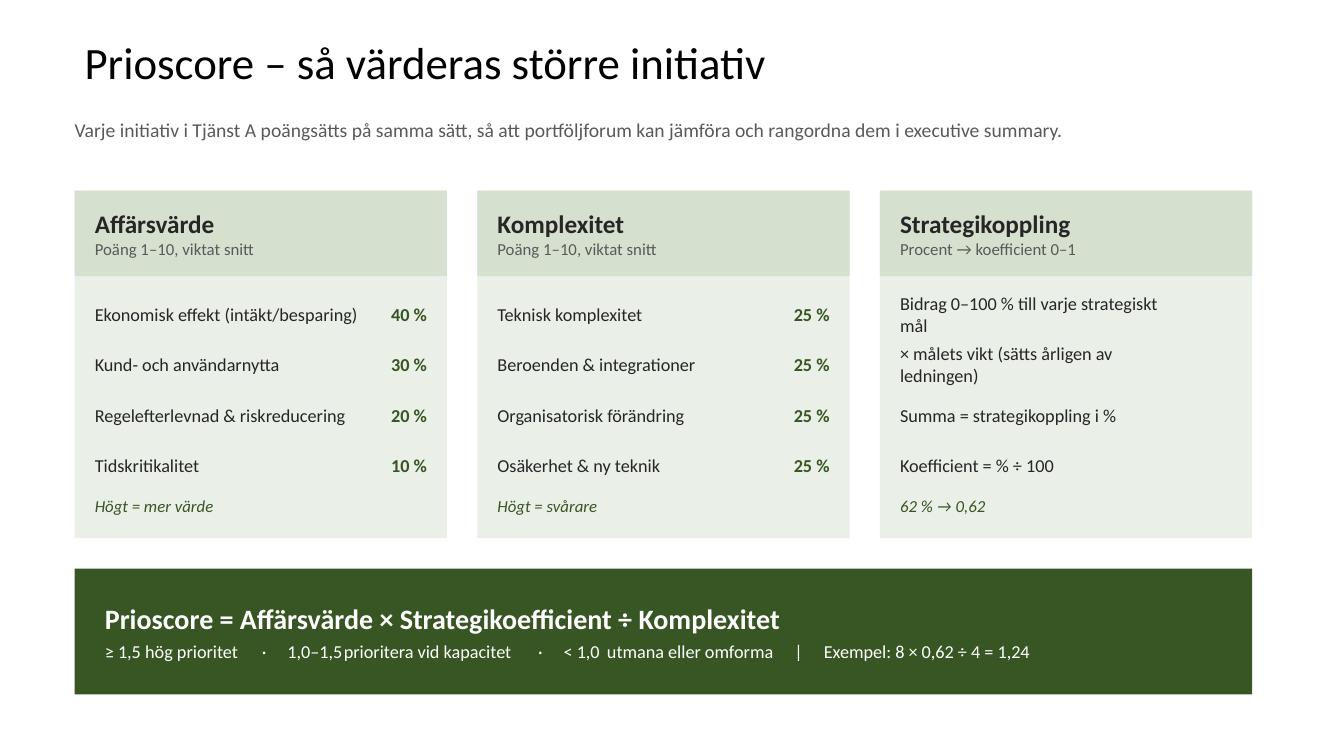
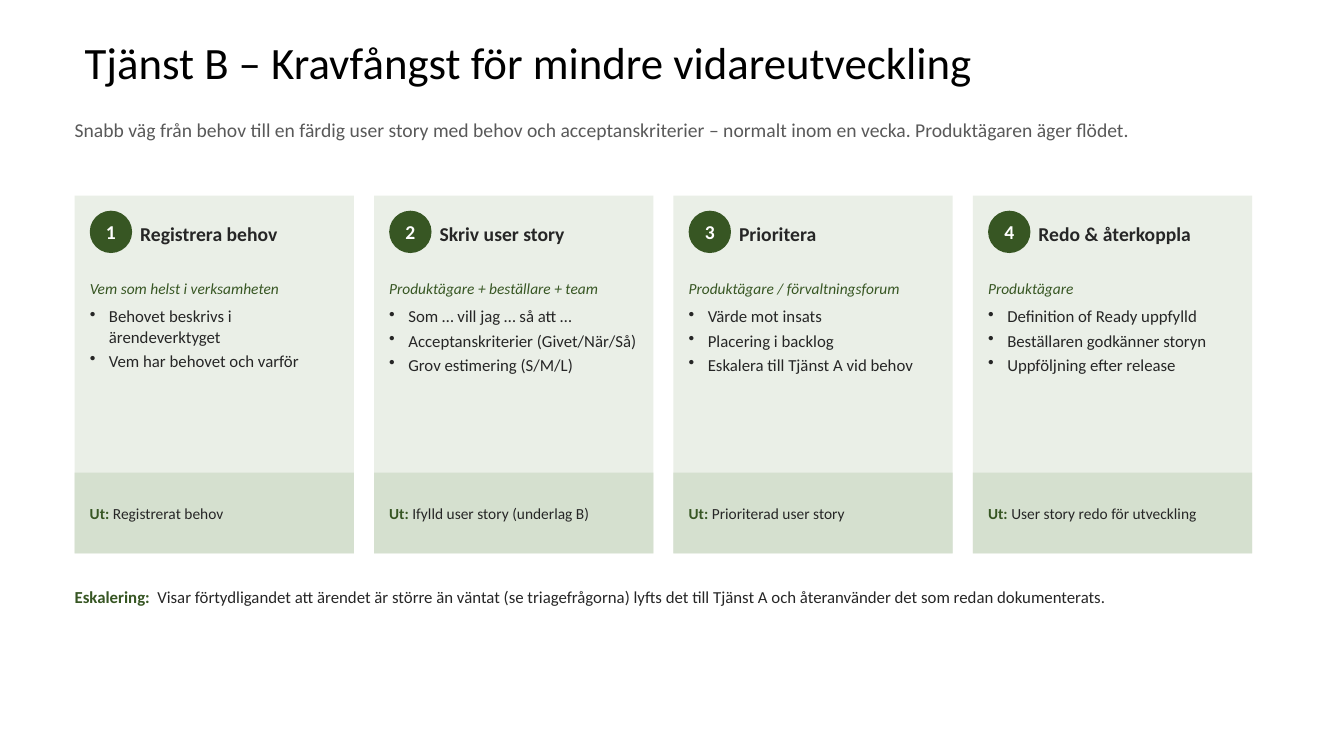
from dataclasses import dataclass

from lxml import etree
from pptx import Presentation
from pptx.dml.color import RGBColor
from pptx.enum import shapes, text
from pptx.oxml import ns
from pptx.util import Inches, Pt

# Shared style
COLORS = {
    "title": "000000",
    "ink": "262626",
    "muted": "595959",
    "accent": "375623",
    "band": "D5E0CF",
    "panel": "EAEFE7",
    "white": "FFFFFF",
}
FONT = "Calibri"
LEFT, CONTENT_WIDTH = 0.74, 11.68
MIDDLE, TOP = text.MSO_ANCHOR.MIDDLE, text.MSO_ANCHOR.TOP
RIGHT, CENTER = text.PP_ALIGN.RIGHT, text.PP_ALIGN.CENTER
RECT, OVAL = shapes.MSO_SHAPE.RECTANGLE, shapes.MSO_SHAPE.OVAL

# Content of the scoring slide: heading, scale, (criterion, weight) rows, note
CRITERIA = [
    ("Affärsvärde", "Poäng 1–10, viktat snitt",
     [("Ekonomisk effekt (intäkt/besparing)", "40 %"),
      ("Kund- och användarnytta", "30 %"),
      ("Regelefterlevnad & riskreducering", "20 %"),
      ("Tidskritikalitet", "10 %")],
     "Högt = mer värde"),
    ("Komplexitet", "Poäng 1–10, viktat snitt",
     [("Teknisk komplexitet", "25 %"),
      ("Beroenden & integrationer", "25 %"),
      ("Organisatorisk förändring", "25 %"),
      ("Osäkerhet & ny teknik", "25 %")],
     "Högt = svårare"),
    ("Strategikoppling", "Procent → koefficient 0–1",
     [("Bidrag 0–100 % till varje strategiskt mål", None),
      ("× målets vikt (sätts årligen av ledningen)", None),
      ("Summa = strategikoppling i %", None),
      ("Koefficient = % ÷ 100", None)],
     "62 % → 0,62"),
]
THRESHOLDS = ("≥ 1,5\thög prioritet\t·\t1,0–1,5\tprioritera vid kapacitet\t·\t"
              "< 1,0\tutmana eller omforma\t|\tExempel: 8 × 0,62 ÷ 4 = 1,24")
THRESHOLD_TABS = [(0.4, "l"), (1.58, "ctr"), (1.81, "l"), (2.37, "l"), (4.32, "ctr"),
                  (4.55, "l"), (4.98, "l"), (6.88, "ctr"), (7.13, "l")]

# Content of the process slide: step, owner, activities, output
STEPS = [
    ("Registrera behov", "Vem som helst i verksamheten",
     ["Behovet beskrivs i ärendeverktyget", "Vem har behovet och varför"],
     "Registrerat behov"),
    ("Skriv user story", "Produktägare + beställare + team",
     ["Som … vill jag … så att …", "Acceptanskriterier (Givet/När/Så)",
      "Grov estimering (S/M/L)"],
     "Ifylld user story (underlag B)"),
    ("Prioritera", "Produktägare / förvaltningsforum",
     ["Värde mot insats", "Placering i backlog", "Eskalera till Tjänst A vid behov"],
     "Prioriterad user story"),
    ("Redo & återkoppla", "Produktägare",
     ["Definition of Ready uppfylld", "Beställaren godkänner storyn",
      "Uppföljning efter release"],
     "User story redo för utveckling"),
]


@dataclass
class Line:
    """One paragraph; a label is a bold accent lead-in before the words."""
    words: str
    size: float
    color: str = "ink"
    bold: bool = False
    italic: bool = False
    align: object = None
    before: float = 0
    after: float = 0
    spacing: float = 1.0
    bullet: bool = False
    tabs: tuple = ()
    label: str = ""


def rgb(name):
    return RGBColor.from_string(COLORS[name])


def add_bullet(paragraph):
    properties = paragraph._p.get_or_add_pPr()
    properties.set("marL", str(Inches(0.19)))
    properties.set("indent", str(Inches(-0.19)))
    etree.SubElement(properties, ns.qn("a:buChar"), char="•")


def add_tabs(paragraph, stops):
    tab_list = etree.SubElement(paragraph._p.get_or_add_pPr(), ns.qn("a:tabLst"))
    for position, align in stops:
        etree.SubElement(tab_list, ns.qn("a:tab"), pos=str(Inches(position)), algn=align)


def style_font(font, color, bold):
    font.color.rgb = rgb(color)
    font.bold = bold


def write_line(paragraph, line):
    if line.bullet:
        add_bullet(paragraph)
    if line.tabs:
        add_tabs(paragraph, line.tabs)
    paragraph.alignment = line.align or text.PP_ALIGN.LEFT
    paragraph.line_spacing = line.spacing
    if line.before:
        paragraph.space_before = Pt(line.before)
    if line.after:
        paragraph.space_after = Pt(line.after)
    paragraph.font.name = FONT
    paragraph.font.size = Pt(line.size)
    paragraph.font.italic = line.italic
    if line.label:
        for words, color, bold in ((line.label, "accent", True),
                                   (line.words, line.color, line.bold)):
            run = paragraph.add_run()
            run.text = words
            style_font(run.font, color, bold)
    else:
        paragraph.add_run().text = line.words
        style_font(paragraph.font, line.color, line.bold)


def write(shape, lines, inset, anchor, inset_y=0.08):
    frame = shape.text_frame
    frame.word_wrap = True
    frame.vertical_anchor = anchor
    frame.margin_left = frame.margin_right = Inches(inset)
    frame.margin_top = frame.margin_bottom = Inches(inset_y)
    for index, line in enumerate(lines):
        write_line(frame.add_paragraph() if index else frame.paragraphs[0], line)


def add_text(slide, at, *lines, inset=0, anchor=TOP, inset_y=0.08):
    box = slide.shapes.add_textbox(*map(Inches, at))
    write(box, lines, inset, anchor, inset_y)


def add_block(slide, at, fill, *lines, inset=0, form=RECT):
    block = slide.shapes.add_shape(form, *map(Inches, at))
    block.shadow.inherit = False
    block.fill.solid()
    block.fill.fore_color.rgb = rgb(fill)
    block.line.fill.background()
    write(block, lines, inset, MIDDLE)


def add_slide(deck, title, lead):
    slide = deck.slides.add_slide(deck.slide_layouts[6])
    add_text(slide, (LEFT, 0.4, CONTENT_WIDTH, 0.49),
             Line(title, 32, "title", spacing=0.9), inset=0.1, anchor=MIDDLE, inset_y=0.05)
    add_text(slide, (LEFT, 1.09, CONTENT_WIDTH, 0.6), Line(lead, 14, "muted"))
    return slide


def columns(items, gap):
    """Yield left edge, width and item for equal columns."""
    width = (CONTENT_WIDTH - gap * (len(items) - 1)) / len(items)
    for index, item in enumerate(items):
        yield LEFT + index * (width + gap), width, item


def add_criterion(slide, left, width, criterion):
    heading, scale, rows, note = criterion
    top, pad = 1.89, 0.2
    add_block(slide, (left, top, width, 3.45), "panel")
    add_block(slide, (left, top, width, 0.85), "band",
              Line(heading, 18, bold=True), Line(scale, 12, "muted"), inset=pad)
    for index, (name, weight) in enumerate(rows):
        row_top = top + 1 + index * 0.5
        add_text(slide, (left + pad, row_top, width - 1, 0.45), Line(name, 13), anchor=MIDDLE)
        if weight:
            add_text(slide, (left + width - pad - 0.75, row_top, 0.75, 0.45),
                     Line(weight, 13, "accent", bold=True, align=RIGHT), anchor=MIDDLE)
    add_text(slide, (left + pad, top + 2.95, width - 2 * pad, 0.4),
             Line(note, 12, "accent", italic=True))


def add_step(slide, left, width, number, step):
    name, owner, activities, output = step
    top, pad = 1.94, 0.15
    add_block(slide, (left, top, width, 3.55), "panel")
    add_block(slide, (left + pad, top + pad, 0.42, 0.42), "accent",
              Line(str(number), 14, "white", bold=True, align=CENTER), form=OVAL)
    add_text(slide, (left + 0.65, top + 0.08, width - 0.7, 0.6),
             Line(name, 14, bold=True), anchor=MIDDLE)
    add_text(slide, (left + pad, top + 0.75, width - 0.25, 1.95),
             Line(owner, 11, "accent", italic=True, after=6),
             *(Line(activity, 12, after=3, bullet=True) for activity in activities))
    add_block(slide, (left, top + 2.75, width, 0.8), "band",
              Line(output, 11, label="Ut: "), inset=pad)


def build_scoring(deck):
    slide = add_slide(
        deck, "Prioscore – så värderas större initiativ",
        "Varje initiativ i Tjänst A poängsätts på samma sätt, så att portföljforum "
        "kan jämföra och rangordna dem i executive summary.")
    for left, width, criterion in columns(CRITERIA, 0.3):
        add_criterion(slide, left, width, criterion)
    # Formula band
    add_block(slide, (LEFT, 5.64, CONTENT_WIDTH, 1.25), "accent",
              Line("Prioscore = Affärsvärde × Strategikoefficient ÷ Komplexitet",
                   20, "white", bold=True),
              Line(THRESHOLDS, 13, "white", before=4, tabs=THRESHOLD_TABS), inset=0.3)


def build_process(deck):
    slide = add_slide(
        deck, "Tjänst B – Kravfångst för mindre vidareutveckling",
        "Snabb väg från behov till en färdig user story med behov och "
        "acceptanskriterier – normalt inom en vecka. Produktägaren äger flödet.")
    for number, (left, width, step) in enumerate(columns(STEPS, 0.2), 1):
        add_step(slide, left, width, number, step)
    # Escalation note
    add_text(slide, (LEFT, 5.74, CONTENT_WIDTH, 0.75),
             Line("Visar förtydligandet att ärendet är större än väntat (se triagefrågorna) "
                  "lyfts det till Tjänst A och återanvänder det som redan dokumenterats.",
                  12, label="Eskalering:\t", tabs=((0.82, "l"),)))


def main():
    deck = Presentation()
    deck.slide_width, deck.slide_height = Inches(13.33), Inches(7.5)
    build_scoring(deck)
    build_process(deck)
    deck.save("out.pptx")


if __name__ == "__main__":
    main()
